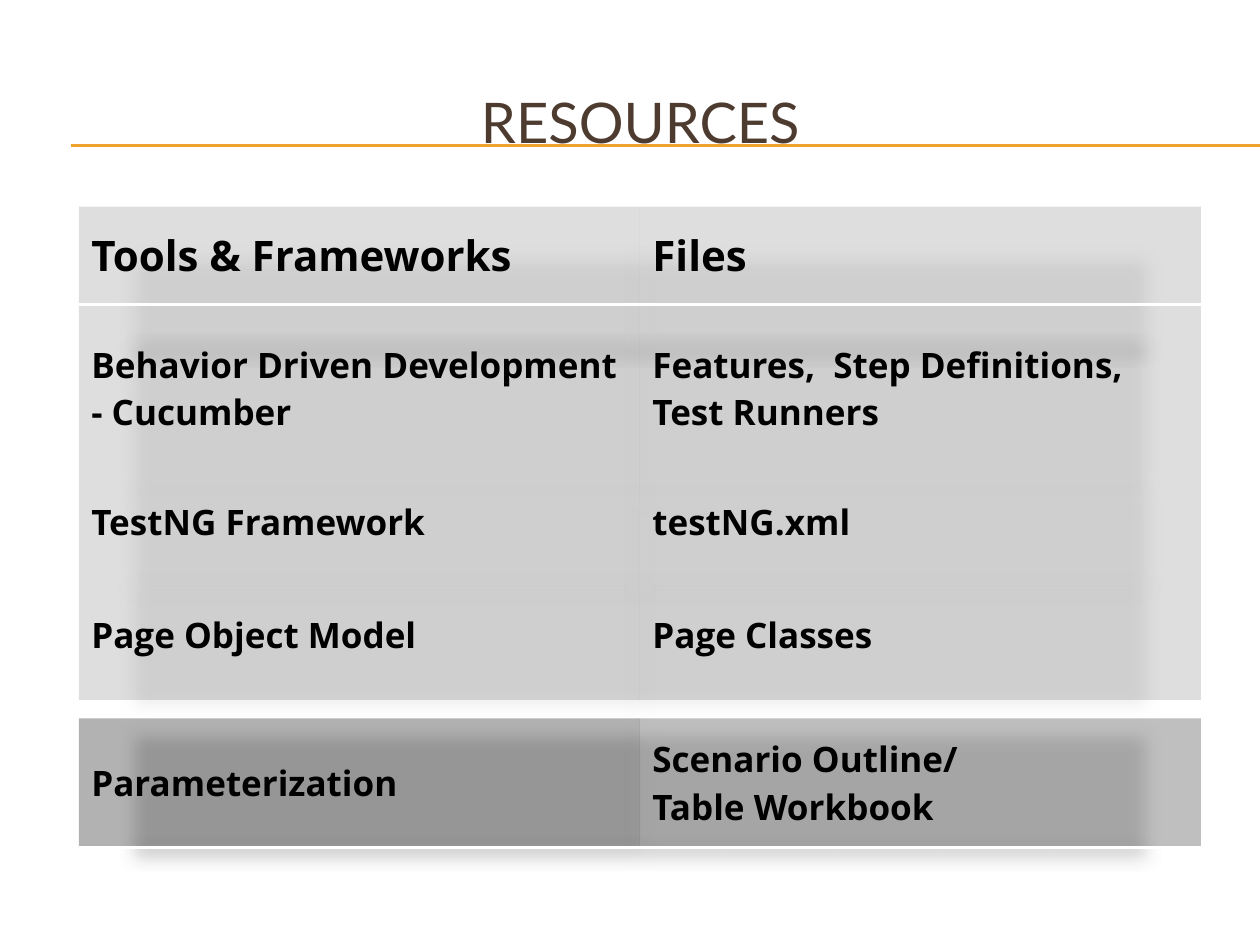
from dataclasses import dataclass

from lxml import etree
from pptx import Presentation
from pptx.dml.color import RGBColor
from pptx.enum import shapes, text
from pptx.oxml import ns
from pptx.util import Pt

NO_TABLE_STYLE = "{2D5ABB26-0587-4C30-8999-92F81FD0307C}"


@dataclass(frozen=True)
class Theme:
    """Colours, fonts and type sizes of the slide."""
    title_font: str = "Lato"
    body_font: str = "Open Sans"
    title_color: str = "4E3B30"
    rule_color: str = "F0A22E"
    ink: str = "000000"
    border: str = "FFFFFF"
    title_size: float = 32
    header_size: float = 24
    body_size: float = 20
    shadow_alpha: int = 52


def add_element(parent, tag, **attributes):
    """Append a DrawingML child element and return it."""
    return etree.SubElement(parent, ns.qn(tag),
                            {key: str(value) for key, value in attributes.items()})


def add_color(parent, color, alpha=100):
    """Append an RGB colour with its opacity in percent."""
    element = add_element(parent, "a:srgbClr", val=color)
    if alpha < 100:
        add_element(element, "a:alpha", val=alpha * 1000)


class SlideBuilder:
    """Draws styled elements on one slide."""

    def __init__(self, slide, theme):
        """Keep the slide and its theme."""
        self.slide = slide
        self.theme = theme

    def style(self, paragraph, font, size, color, bold=False):
        """Format a whole paragraph."""
        paragraph.font.name = font
        paragraph.font.size = Pt(size)
        paragraph.font.bold = bold
        paragraph.font.color.rgb = RGBColor.from_string(color)

    def rule(self, left, right, top):
        """Draw a thin horizontal rule."""
        line = self.slide.shapes.add_connector(
            shapes.MSO_CONNECTOR.STRAIGHT, Pt(left), Pt(top), Pt(right), Pt(top))
        line.line.color.rgb = RGBColor.from_string(self.theme.rule_color)
        line.line.width = Pt(0.75)
        add_element(line._element.spPr, "a:effectLst")

    def title(self, wording, left, top, width, height):
        """Fill the title placeholder and bring it in front of the rules."""
        title = self.slide.shapes.title
        title.left, title.top = Pt(left), Pt(top)
        title.width, title.height = Pt(width), Pt(height)
        title.text_frame.text = wording
        title.text_frame.vertical_anchor = text.MSO_ANCHOR.MIDDLE
        paragraph = title.text_frame.paragraphs[0]
        paragraph.alignment = text.PP_ALIGN.CENTER
        self.style(paragraph, self.theme.title_font, self.theme.title_size,
                   self.theme.title_color)
        self.slide.shapes._spTree.append(title._element)

    def table(self, rows, heights, left, top, column_width, alphas, header=False):
        """Add a translucent table; its first row gets a white bottom border."""
        columns = len(rows[0])
        frame = self.slide.shapes.add_table(
            len(rows), columns, Pt(left), Pt(top),
            Pt(column_width * columns), Pt(sum(heights)))
        table = frame.table
        table.first_row = header
        table.horz_banding = False
        self.table_shadow(table._tbl.tblPr)
        for column in table.columns:
            column.width = Pt(column_width)
        for row_index, (row, height) in enumerate(zip(rows, heights)):
            table.rows[row_index].height = Pt(height)
            is_header = header and row_index == 0
            size = self.theme.header_size if is_header else self.theme.body_size
            for column_index, wording in enumerate(row):
                self.cell(table.cell(row_index, column_index), wording, size,
                          alphas[column_index], bordered=row_index == 0)

    def table_shadow(self, properties):
        """Drop the table style and set a soft shadow below the table."""
        properties.find(ns.qn("a:tableStyleId")).text = NO_TABLE_STYLE
        effects = add_element(properties, "a:effectLst")
        properties.insert(0, effects)
        shadow = add_element(effects, "a:outerShdw", blurRad=Pt(10), dist=Pt(3),
                             dir=5400000, sx=90000, sy=90000, algn="b",
                             rotWithShape=0)
        add_color(shadow, self.theme.ink, self.theme.shadow_alpha)

    def cell(self, cell, wording, size, alpha, bordered):
        """Write one cell with its fill and optional bottom border."""
        cell.text = wording
        cell.vertical_anchor = text.MSO_ANCHOR.MIDDLE
        for paragraph in cell.text_frame.paragraphs:
            self.style(paragraph, self.theme.body_font, size, self.theme.ink, bold=True)
        properties = cell._tc.get_or_add_tcPr()
        if bordered:
            border = add_element(properties, "a:lnB", w=Pt(2))
            add_color(add_element(border, "a:solidFill"), self.theme.border)
        add_color(add_element(properties, "a:solidFill"), self.theme.ink, alpha)


def main():
    """Build and save the resources slide."""
    presentation = Presentation()
    presentation.slide_width, presentation.slide_height = Pt(720), Pt(540)
    slide = presentation.slides.add_slide(presentation.slide_layouts[5])
    builder = SlideBuilder(slide, Theme())

    for top in (82.5, 82.8, 83.5):
        builder.rule(40.5, 720, top)
    builder.title("RESOURCES", 24, 36, 684, 66)

    left, column_width = 45, 320.6
    resources = [
        ("Tools & Frameworks", "Files"),
        ("Behavior Driven Development - Cucumber",
         "Features,  Step Definitions, Test Runners"),
        ("TestNG Framework", "testNG.xml"),
        ("Page Object Model", "Page Classes"),
    ]
    builder.table(resources, (56, 96, 56, 74), left, 118, column_width,
                  alphas=(13, 13), header=True)
    parameters = [("Parameterization", "Scenario Outline/\nTable Workbook")]
    builder.table(parameters, (74,), left, 410.5, column_width, alphas=(30, 25))

    presentation.save("out.pptx")


main()
